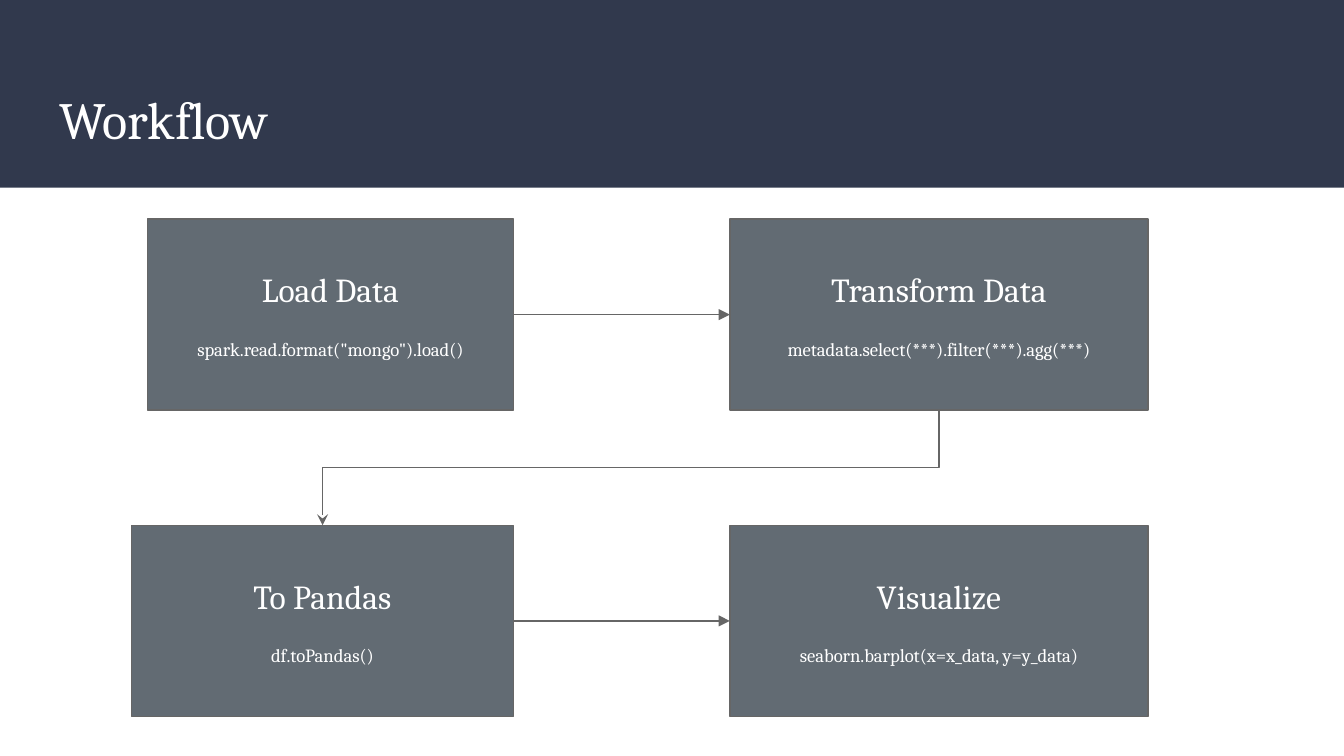
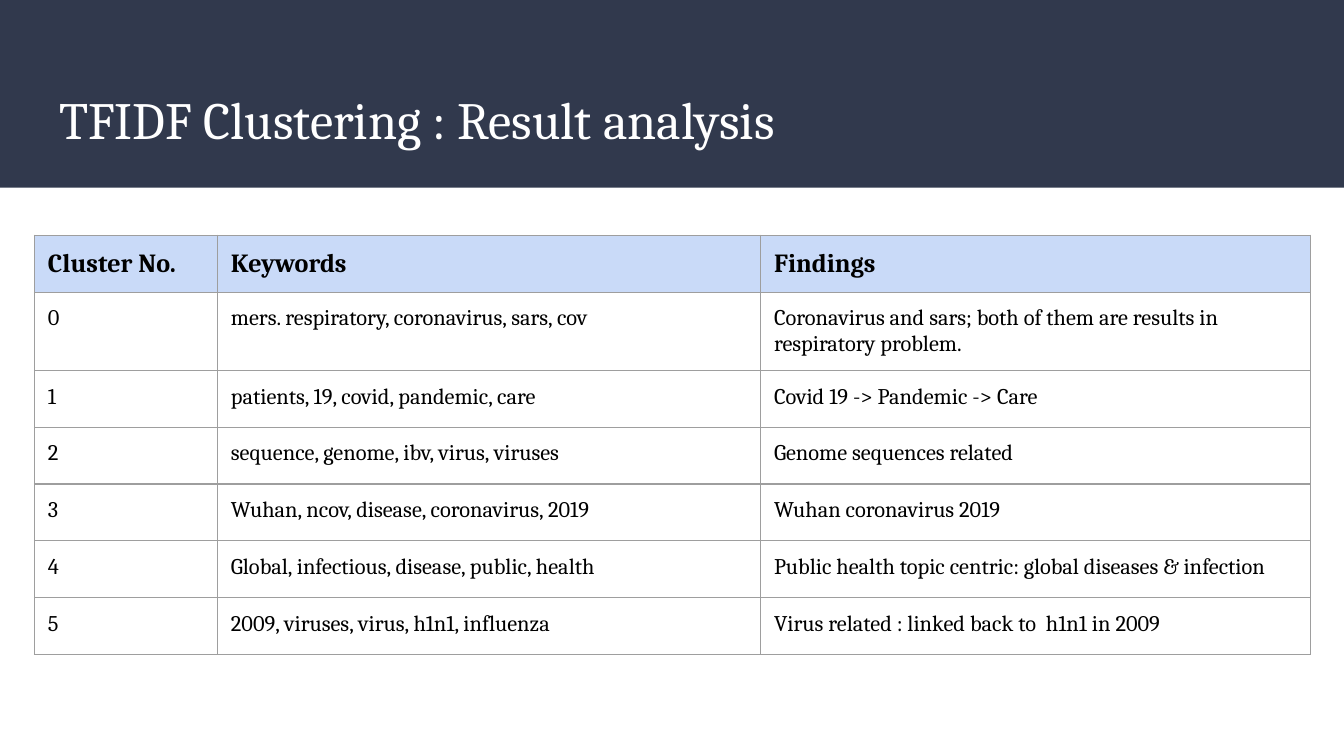
import pptx
import pptx.util
import pptx.dml.color
import pptx.enum.shapes
import pptx.enum.text
import pptx.oxml

Pt = pptx.util.Pt
RGB = pptx.dml.color.RGBColor
SHAPE = pptx.enum.shapes.MSO_SHAPE
LINK = pptx.enum.shapes.MSO_CONNECTOR
ALIGN = pptx.enum.text.PP_ALIGN
ANCHOR = pptx.enum.text.MSO_ANCHOR
FIT = pptx.enum.text.MSO_AUTO_SIZE

NAVY = RGB(0x31, 0x39, 0x4D)
SLATE = RGB(0x62, 0x6B, 0x73)
GREY = RGB(0x66, 0x66, 0x66)
RULE = RGB(0x9E, 0x9E, 0x9E)
PALE = RGB(0xC9, 0xDA, 0xF8)
WHITE = RGB(0xFF, 0xFF, 0xFF)
BLACK = RGB(0, 0, 0)

FACE = "Cambria"
WIDE, HIGH = 720, 405
INSET = Pt(7.2)
THIN = 0.75
NS = 'xmlns:a="http://schemas.openxmlformats.org/drawingml/2006/main"'

UPPER, LOWER, TALL = 117.3, 281.4, 102.5
# left, top, width, heading, code
STEPS = [
    (79, UPPER, 196, "Load Data", 'spark.read.format("mongo").load()'),
    (391, UPPER, 224, "Transform Data", "metadata.select(***).filter(***).agg(***)"),
    (70.5, LOWER, 204.5, "To Pandas", "df.toPandas()"),
    (391, LOWER, 224, "Visualize", "seaborn.barplot(x=x_data, y=y_data)"),
]

COLS = [98, 291, 294.5]
ROW = 30.4
ROWS = [
    ("Cluster No.", "Keywords", "Findings"),
    ("0", "mers. respiratory, coronavirus, sars, cov",
     "Coronavirus and sars; both of them are results in respiratory problem."),
    ("1", "patients, 19, covid, pandemic, care", "Covid 19 -> Pandemic -> Care"),
    ("2", "sequence, genome, ibv, virus, viruses", "Genome sequences related"),
    ("3", "Wuhan, ncov, disease, coronavirus, 2019", "Wuhan coronavirus 2019"),
    ("4", "Global, infectious, disease, public, health",
     "Public health topic centric: global diseases & infection"),
    ("5", "2009, viruses, virus, h1n1, influenza",
     "Virus related : linked back to  h1n1 in 2009"),
]


def style(para, size, color, bold=False, align=ALIGN.LEFT):
    para.alignment = align
    font = para.font
    font.name, font.size, font.bold = FACE, Pt(size), bold
    font.color.rgb = color


def pad(item):
    """Give a text frame or a cell the same margin on all sides."""
    item.margin_left = item.margin_right = INSET
    item.margin_top = item.margin_bottom = INSET


def block(slide, left, top, width, height, fill):
    shape = slide.shapes.add_shape(
        SHAPE.RECTANGLE, Pt(left), Pt(top), Pt(width), Pt(height))
    shape.shadow.inherit = False
    shape.fill.solid()
    shape.fill.fore_color.rgb = fill
    shape.line.fill.background()
    return shape


def page(deck, text):
    """Add a slide with the navy band behind its title."""
    slide = deck.slides.add_slide(deck.slide_layouts[5])
    band = block(slide, 0, 0, WIDE, 100.5, NAVY)
    slide.shapes._spTree.insert(2, band._element)
    title = slide.shapes.title
    title.left, title.top = Pt(24.5), Pt(39.5)
    title.width, title.height = Pt(671), Pt(49)
    frame = title.text_frame
    frame.text = text
    frame.word_wrap = True
    frame.auto_size = FIT.NONE
    frame.vertical_anchor = ANCHOR.TOP
    pad(frame)
    style(frame.paragraphs[0], 28, WHITE)
    return slide


def step(slide, left, top, width, head, code):
    box = block(slide, left, top, width, TALL, SLATE)
    box.line.color.rgb = GREY
    box.line.width = Pt(THIN)
    frame = box.text_frame
    frame.word_wrap = True
    frame.vertical_anchor = ANCHOR.MIDDLE
    pad(frame)
    frame.text = head
    style(frame.paragraphs[0], 18, WHITE, align=ALIGN.CENTER)
    para = frame.add_paragraph()
    para.text = code
    para.space_before = Pt(15)
    style(para, 10, WHITE, align=ALIGN.CENTER)
    return box


def finish(line, tip):
    """Set the stroke, the arrowhead and the empty effect list."""
    line.line.color.rgb = GREY
    line.line.width = Pt(THIN)
    line.line._get_or_add_ln().append(
        pptx.oxml.parse_xml(f'<a:tailEnd {NS} type="{tip}"/>'))
    line._element.spPr.append(pptx.oxml.parse_xml(f"<a:effectLst {NS}/>"))


def arrow(slide, start, end):
    line = slide.shapes.add_connector(LINK.STRAIGHT, 0, 0, 0, 0)
    line.begin_connect(start, 3)
    line.end_connect(end, 1)
    finish(line, "triangle")


def elbow(slide, start, end):
    """Lead from a bottom side down and left to a top side."""
    x1, y1 = start.left + start.width // 2, start.top + start.height
    x2, y2 = end.left + end.width // 2, end.top
    midx, midy = (x1 + x2) // 2, (y1 + y2) // 2
    drop, run = (y2 - y1) // 2, (x1 - x2) // 2
    # The frame is laid out sideways, then turned a quarter clockwise.
    line = slide.shapes.add_connector(
        LINK.ELBOW, midx - drop, midy - run, midx + drop, midy + run)
    line._element.spPr.xfrm.set("rot", str(90 * 60000))
    finish(line, "stealth")


def border(cell):
    props = cell._tc.get_or_add_tcPr()
    for spot, side in enumerate(("lnL", "lnR", "lnT", "lnB")):
        props.insert(spot, pptx.oxml.parse_xml(
            f'<a:{side} {NS} w="{Pt(THIN)}"><a:solidFill>'
            f'<a:srgbClr val="{RULE}"/></a:solidFill></a:{side}>'))


def fill(cell, text, head):
    cell.text = text
    pad(cell)
    style(cell.text_frame.paragraphs[0], 14 if head else 12, BLACK, head)
    if head:
        cell.fill.solid()
        cell.fill.fore_color.rgb = PALE
    else:
        cell.fill.background()
    border(cell)


def grid(slide, left, top):
    table = slide.shapes.add_table(
        len(ROWS), len(COLS), Pt(left), Pt(top),
        Pt(sum(COLS)), Pt(ROW * len(ROWS))).table
    table.first_row = table.horz_banding = False
    for col, width in zip(table.columns, COLS):
        col.width = Pt(width)
    for r, texts in enumerate(ROWS):
        table.rows[r].height = Pt(ROW)
        for c, text in enumerate(texts):
            fill(table.cell(r, c), text, r == 0)


def main():
    deck = pptx.Presentation()
    deck.slide_width, deck.slide_height = Pt(WIDE), Pt(HIGH)

    flow = page(deck, "Workflow")
    load, shift, pandas, show = [step(flow, *item) for item in STEPS]
    arrow(flow, load, shift)
    elbow(flow, shift, pandas)
    arrow(flow, pandas, show)

    grid(page(deck, "TFIDF Clustering : Result analysis"), 18.5, 126)
    deck.save("out.pptx")


if __name__ == "__main__":
    main()
